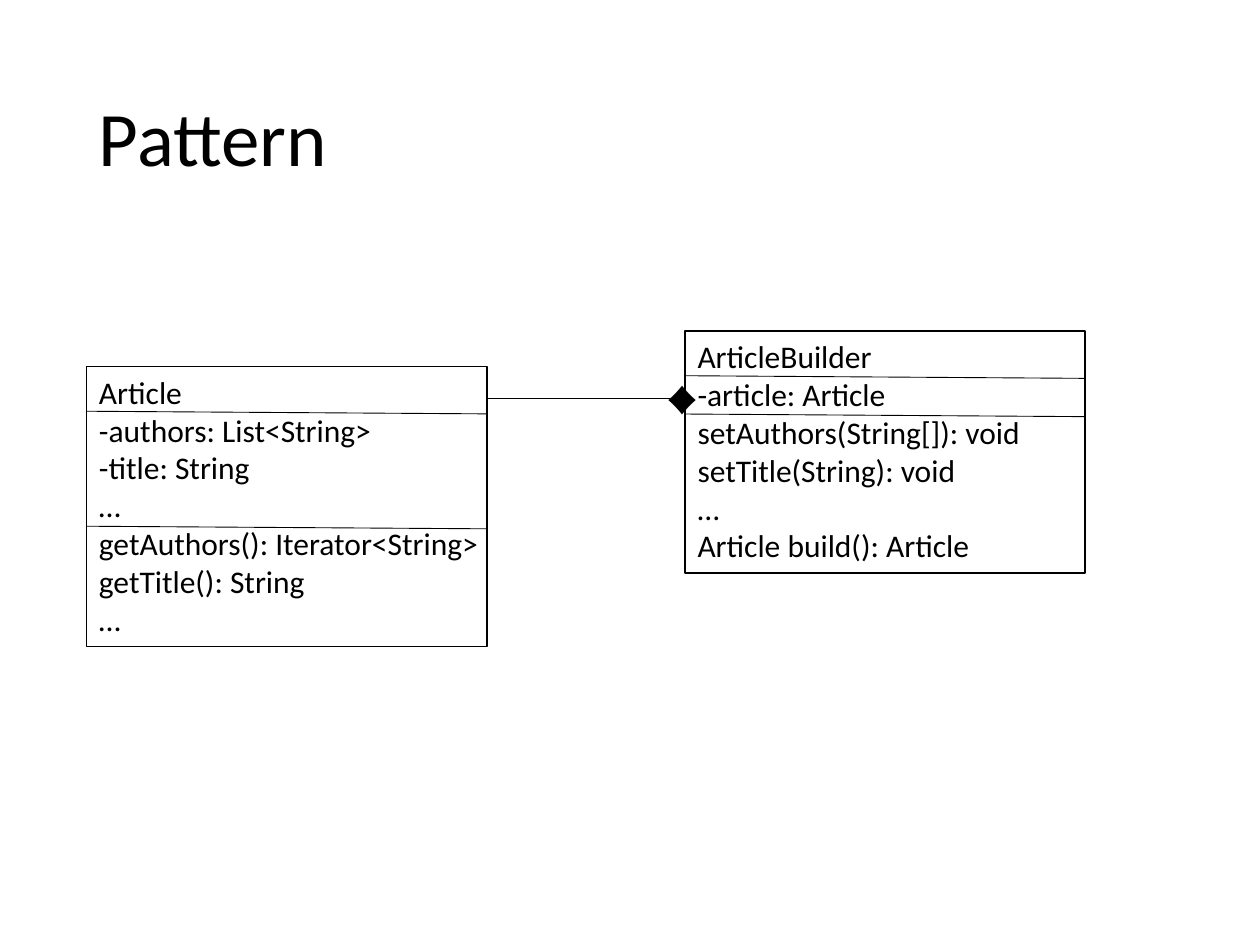
from pptx import Presentation
from pptx.dml.color import RGBColor
from pptx.enum.shapes import MSO_CONNECTOR, MSO_SHAPE
from pptx.enum.text import MSO_ANCHOR, MSO_AUTO_SIZE
from pptx.oxml.ns import qn
from pptx.util import Pt
from lxml import etree

BLACK = RGBColor(0x00, 0x00, 0x00)
STRAIGHT = MSO_CONNECTOR.STRAIGHT
RECTANGLE = MSO_SHAPE.RECTANGLE
MIDDLE = MSO_ANCHOR.MIDDLE
FIT_SHAPE = MSO_AUTO_SIZE.SHAPE_TO_FIT_TEXT


class ClassDiagram:
    """Draws UML class boxes and their relations on one slide."""

    font = "Calibri"
    body_size = 18
    class_width = 228.6
    line_pitch = 21.9
    divider_drop = 1.5

    def __init__(self, slide):
        self.slide = slide

    def text(self, lines, left, top, width, height):
        box = self.slide.shapes.add_textbox(Pt(left), Pt(top), Pt(width), Pt(height))
        frame = box.text_frame
        frame.text = "\n".join(lines)
        frame.word_wrap = False
        frame.auto_size = FIT_SHAPE
        for paragraph in frame.paragraphs:
            self.format(paragraph, self.body_size)
        return frame

    def format(self, paragraph, size):
        for run in paragraph.runs:
            run.font.name = self.font
            run.font.size = Pt(size)
            run.font.color.rgb = BLACK

    def title(self, wording, left, top, width, height):
        frame = self.text([wording], left, top, width, height)
        frame.auto_size = MSO_AUTO_SIZE.NONE
        frame.word_wrap = True
        frame.vertical_anchor = MIDDLE
        frame.paragraphs[0].line_spacing = 0.9
        self.format(frame.paragraphs[0], 44)

    def line(self, x1, y1, x2, y2):
        connector = self.slide.shapes.add_connector(STRAIGHT, Pt(x1), Pt(y1), Pt(x2), Pt(y2))
        connector.line.color.rgb = BLACK
        connector.line.width = Pt(0.5)
        etree.SubElement(connector._element.spPr, qn("a:effectLst"))

    def class_box(self, sections, left, top, text_width, height):
        members = [member for section in sections for member in section]
        self.text(members, left, top, text_width, height)
        border = self.slide.shapes.add_shape(
            RECTANGLE, Pt(left), Pt(top), Pt(self.class_width), Pt(height))
        border.shadow.inherit = False
        border.fill.background()
        border.line.color.rgb = BLACK
        border.line.width = Pt(1)
        rows_above = 0
        for section in sections[:-1]:
            rows_above += len(section)
            y = top + 3.6 + rows_above * self.line_pitch
            self.line(left, y, left + self.class_width, y + self.divider_drop)

    def composition(self, part_x, whole_x, y):
        self.line(part_x, y, whole_x, y)
        self.text(["♦"], whole_x - 16.6, y - 15.1, 28, 29)


def main():
    presentation = Presentation()
    presentation.slide_width = Pt(720)
    presentation.slide_height = Pt(540)
    diagram = ClassDiagram(presentation.slides.add_slide(presentation.slide_layouts[6]))

    diagram.title("Pattern", 49.5, 28.8, 621, 104.4)
    article_left, builder_left = 49.5, 391.5
    article = [
        ["Article"],
        ["-authors: List<String>", "-title: String", "…"],
        ["getAuthors(): Iterator<String>", "getTitle(): String", "…"],
    ]
    builder = [
        ["ArticleBuilder"],
        ["-article: Article"],
        ["setAuthors(String[]): void", "setTitle(String): void", "…",
         "Article build(): Article"],
    ]
    diagram.class_box(article, article_left, 209.5, 237.6, 160)
    diagram.class_box(builder, builder_left, 189.2, 200.9, 138.2)
    diagram.composition(article_left + diagram.class_width, builder_left - 1.2, 227.5)

    presentation.save("out.pptx")


if __name__ == "__main__":
    main()
